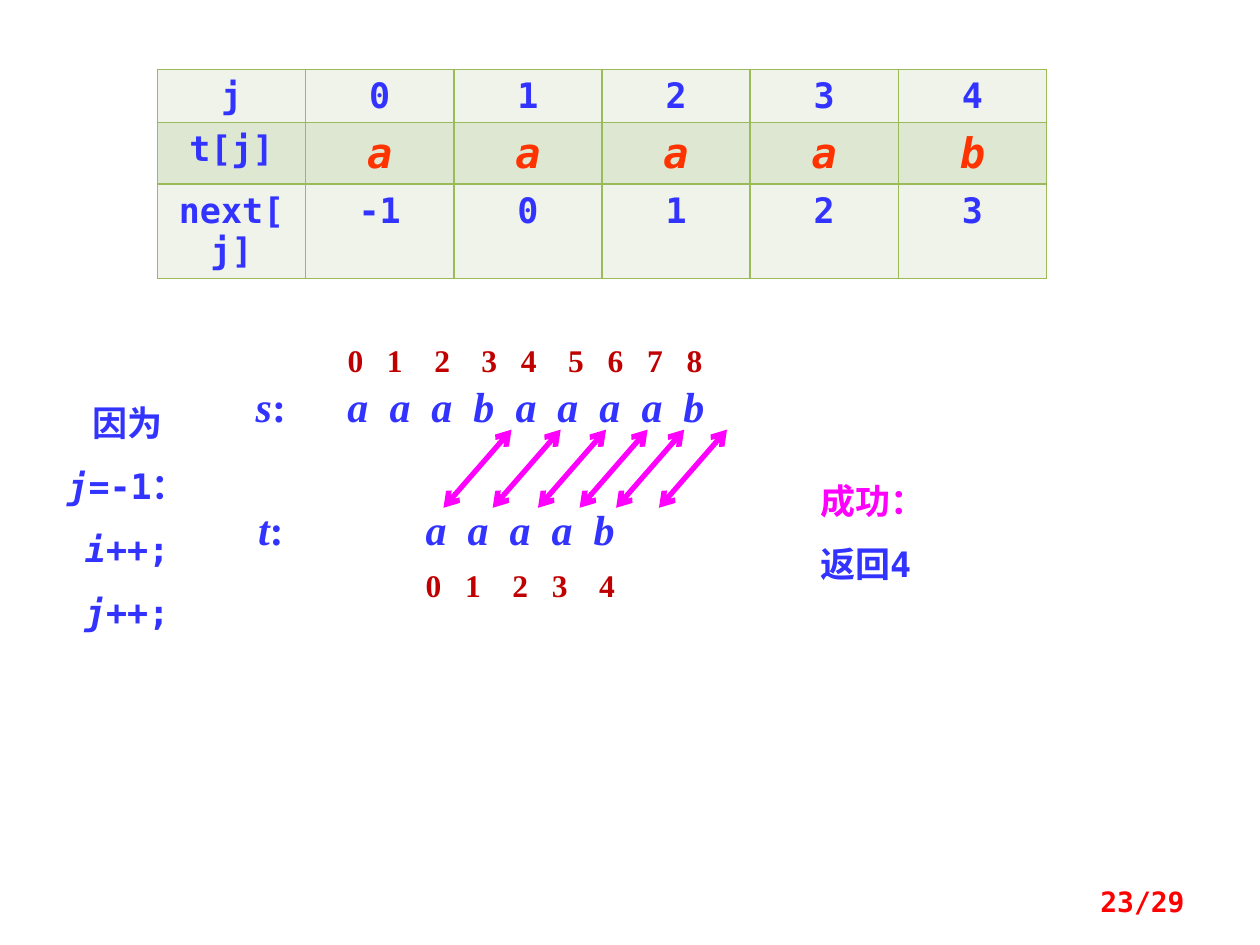
from dataclasses import dataclass
from itertools import accumulate
from pptx import Presentation
from pptx.dml.color import RGBColor
from pptx.enum.shapes import MSO_CONNECTOR
from pptx.enum.text import MSO_ANCHOR, MSO_AUTO_SIZE, PP_ALIGN
from pptx.oxml.ns import qn
from pptx.util import Inches, Pt
from lxml import etree

LEFT, MID, RIGHT = PP_ALIGN.LEFT, PP_ALIGN.CENTER, PP_ALIGN.RIGHT
STRAIGHT = MSO_CONNECTOR.STRAIGHT
GROW, FIXED = MSO_AUTO_SIZE.SHAPE_TO_FIT_TEXT, MSO_AUTO_SIZE.NONE
TOP, CENTRE = MSO_ANCHOR.TOP, MSO_ANCHOR.MIDDLE
WIDE, HIGH = Inches(10), Inches(7.5)
COLS, ROWS = 100, 75


@dataclass(frozen=True)
class Theme:
    mono: str = "DejaVu Sans Mono"
    serif: str = "Times New Roman"
    blue: str = "3333FF"
    orange: str = "FF3300"
    pink: str = "FF00FF"
    wine: str = "C00000"
    red: str = "FF0000"
    green: str = "9BBB59"
    pale: str = "EFF3EA"
    band: str = "DEE7D1"
    big: int = 24
    body: int = 20
    index: int = 18
    page: int = 16


THEME = Theme()


def col(n):
    return round(WIDE * n / COLS)


def row(n):
    return round(HIGH * n / ROWS)


def rgb(code):
    return RGBColor.from_string(code)


def style(para, face, size, color, slant=None):
    font = para.font
    font.name, font.size, font.bold = face, Pt(size), True
    font.color.rgb = rgb(color)
    if slant is not None:
        font.italic = slant


def add_tabs(para, stops):
    tabs = etree.SubElement(para._p.get_or_add_pPr(), qn("a:tabLst"))
    for stop in stops:
        etree.SubElement(tabs, qn("a:tab"), pos=str(col(stop)), algn="l")


def add_box(slide, x, y, w, h, size=GROW, anchor=TOP):
    frame = slide.shapes.add_textbox(col(x), row(y), col(w), row(h)).text_frame
    frame.word_wrap = True
    frame.auto_size = size
    frame.vertical_anchor = anchor
    return frame


def add_row(slide, x, y, w, h, items, stops, size, color, slant):
    para = add_box(slide, x, y, w, h).paragraphs[0]
    para.text = "\t".join(items)
    add_tabs(para, stops)
    style(para, THEME.serif, size, color, slant)


def add_lines(slide, x, y, w, h, lines, face, size, align, gap=None):
    frame = add_box(slide, x, y, w, h)
    for n, (color, runs) in enumerate(lines):
        para = frame.add_paragraph() if n else frame.paragraphs[0]
        para.alignment = align
        if gap:
            para.line_spacing = gap
        for text, slant in runs:
            run = para.add_run()
            run.text = text
            run.font.italic = slant
        style(para, face, size, color)


def add_edges(cell):
    props = cell._tc.get_or_add_tcPr()
    for side in ("lnL", "lnR", "lnT", "lnB"):
        line = etree.SubElement(props, qn("a:" + side), w=str(Pt(1)))
        fill = etree.SubElement(line, qn("a:solidFill"))
        etree.SubElement(fill, qn("a:srgbClr"), val=THEME.green)


def add_grid(slide, x, y, step, tall, data):
    count = len(data[0])
    table = slide.shapes.add_table(len(data), count, col(x), row(y),
                                   col(step * count), row(tall * len(data))).table
    table.first_row = table.horz_banding = False
    for r, items in enumerate(data):
        for c, text in enumerate(items):
            cell = table.cell(r, c)
            add_edges(cell)
            cell.fill.solid()
            cell.fill.fore_color.rgb = rgb(THEME.band if r % 2 else THEME.pale)
            para = cell.text_frame.paragraphs[0]
            para.text, para.alignment = text, MID
            key = r == 1 and c > 0
            style(para, THEME.mono, THEME.big if key else THEME.body,
                  THEME.orange if key else THEME.blue, key)


def add_arrow(slide, x, top, low, lean):
    link = slide.shapes.add_connector(STRAIGHT, col(x), row(top),
                                      col(x - lean), row(low))
    link.line.color.rgb = rgb(THEME.pink)
    link.line.width = Pt(3)
    line = link.line._get_or_add_ln()
    for end in ("headEnd", "tailEnd"):
        etree.SubElement(line, qn("a:" + end), type="arrow")
    etree.SubElement(link._element.spPr, qn("a:effectLst"))


def add_page(slide, text):
    para = add_box(slide, 71.7, 69.5, 23.3, 4, FIXED, CENTRE).paragraphs[0]
    para.text, para.alignment = text, RIGHT
    style(para, THEME.mono, THEME.page, THEME.red)


def add_word(slide, name, x, y, w, word, mark, w_mark, y_mark, gaps):
    add_lines(slide, 18, y, 7, 5, [(THEME.blue, [(name, True), (":", False)])],
              THEME.serif, THEME.big, MID)
    even = [10 / 3 * n for n in range(1, len(word))]
    add_row(slide, x, y, w, 5, word, even, THEME.big, THEME.blue, True)
    add_row(slide, x, y_mark, w_mark, 4, mark, accumulate(gaps),
            THEME.index, THEME.wine, False)


def main():
    deck = Presentation()
    deck.slide_width, deck.slide_height = WIDE, HIGH
    slide = deck.slides.add_slide(deck.slide_layouts[6])

    add_grid(slide, 12.5, 5.5, 11.76, 4.1, [
        ["j", *"01234"],
        ["t[j]", *"aaaab"],
        ["next[j]", "-1", *"0123"],
    ])
    near, far = 3.13, 3.75
    add_word(slide, "s", 26.6, 29.7, 33.6, "aaabaaaab", "012345678", 32.8, 26.6,
             [near, far, far, near, far, near, near, near])
    add_word(slide, "t", 32.8, 39.5, 22.7, "aaaab", "01234", 19.5, 44.4,
             [near, far, near, far])
    for x in (40.6, 44.5, 48.1, 51.4, 54.3, 57.7):
        add_arrow(slide, x, 34.1, 40.3, 5.4)

    add_lines(slide, 2.3, 29.7, 15.6, 16.2, [
        (THEME.blue, [("因为", False), ("j", True), ("=-1：", False)]),
        (THEME.blue, [("i", True), ("++;", False)]),
        (THEME.blue, [("j", True), ("++;", False)]),
    ], THEME.mono, THEME.body, MID, 1.5)
    add_lines(slide, 64.1, 35.9, 14.8, 10.5, [
        (THEME.pink, [("成功：", False)]),
        (THEME.blue, [("返回4", False)]),
    ], THEME.mono, THEME.body, LEFT, 1.5)
    add_page(slide, "23/29")
    deck.save("out.pptx")


if __name__ == "__main__":
    main()
